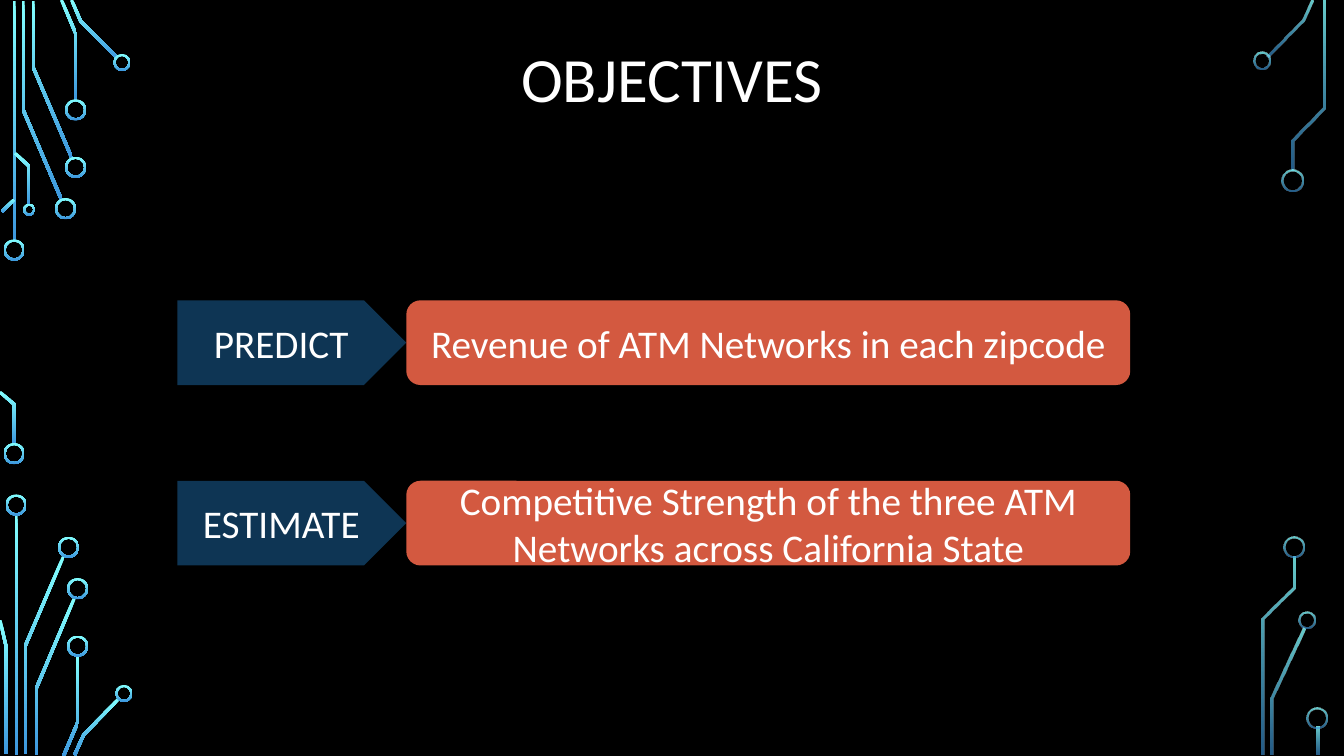
import math

import lxml.etree
import pptx
import pptx.dml.color
import pptx.enum.shapes
import pptx.enum.text
import pptx.oxml.ns
import pptx.util

Inches = pptx.util.Inches
SHAPES = pptx.enum.shapes.MSO_SHAPE
TRACE_WIDTH = 0.03
RING_WIDTH = 0.02

LEFT_TRACES = [
    [(0.14, 0.01), (0.14, 2.4)],
    [(0.23, 0.01), (0.23, 1.09), (0.61, 1.98)],
    [(0.33, 0.01), (0.33, 0.67), (0.71, 1.56)],
    [(0.61, 0), (0.75, 0.33), (0.75, 1)],
    [(0.71, 0), (0.8, 0.21), (1.16, 0.57)],
    [(0.02, 2.1), (0.14, 1.98)],
    [(0, 3.89), (0.14, 4.01), (0.14, 4.41)],
    [(0.15, 1.52), (0.29, 1.65), (0.29, 2.03)],
    [(0.16, 5.1), (0.16, 7.49)],
    [(0.25, 7.48), (0.25, 6.41), (0.63, 5.52)],
    [(0, 6.15), (0.06, 6.41), (0.06, 7.48)],
    [(0.36, 7.49), (0.36, 6.83), (0.74, 5.93)],
    [(0.63, 7.5), (0.77, 7.17), (0.77, 6.5)],
    [(0.74, 7.49), (0.83, 7.29), (1.18, 6.93)],
]
LEFT_RINGS = [
    (0.14, 2.48, 0.21), (0.14, 4.5, 0.21), (0.65, 2.07, 0.21),
    (0.75, 1.66, 0.21), (0.75, 1.09, 0.21), (1.21, 0.62, 0.17),
    (0.29, 2.08, 0.12), (0.16, 5.01, 0.21), (0.68, 5.43, 0.21),
    (0.77, 5.84, 0.21), (0.77, 6.41, 0.21), (1.23, 6.88, 0.17),
]
RIGHT_TRACES = [
    [(0.57, 0.56), (0.92, 0.2), (1.01, 0)],
    [(0.62, 7.49), (0.62, 6.93), (0.93, 6.23)],
    [(0.82, 1.69), (0.82, 1.39), (1.13, 1.07), (1.13, 0.01)],
    [(0.53, 7.49), (0.53, 6.14), (0.83, 5.83), (0.83, 5.52)],
    [(1.07, 7.21), (1.07, 7.49)],
]
RIGHT_RINGS = [
    (0.52, 0.6, 0.17), (0.82, 1.79, 0.21), (0.96, 6.15, 0.17),
    (0.83, 5.43, 0.21), (1.06, 7.12, 0.21),
]
OBJECTIVES = [
    ("PREDICT", "Revenue of ATM Networks in each zipcode"),
    ("ESTIMATE", "Competitive Strength of the three ATM Networks across California State"),
]


def rgb(color):
    """Turn a hex string into a colour."""
    return pptx.dml.color.RGBColor.from_string(color)


def glow(sp, opacities):
    """Fill a shape with the vertical circuit gradient."""
    sp.shadow.inherit = False
    sp.line.fill.background()
    sp.fill.gradient()
    sp.fill.gradient_angle = 270
    for stop, color, position in zip(sp.fill.gradient_stops, ("82FFFF", "3D97DE"), (0, 1)):
        stop.color.rgb = rgb(color)
        stop.position = position
    for clr, opacity in zip(sp._element.spPr.iter(pptx.oxml.ns.qn("a:srgbClr")), opacities):
        if opacity < 100:
            alpha = lxml.etree.SubElement(clr, pptx.oxml.ns.qn("a:alpha"))
            alpha.set("val", str(opacity * 1000))


def band(points):
    """Return the mitred outline of a path with the trace width."""
    angles = [math.atan2(y2 - y1, x2 - x1)
              for (x1, y1), (x2, y2) in zip(points, points[1:])]
    near, far = [], []
    for (x, y), before, after in zip(points, angles[:1] + angles, angles + angles[-1:]):
        turn = math.remainder(after - before, math.tau)
        reach = TRACE_WIDTH / 2 / math.cos(turn / 2)
        normal = before + turn / 2 + math.pi / 2
        dx, dy = reach * math.cos(normal), reach * math.sin(normal)
        near.append((x + dx, y + dy))
        far.append((x - dx, y - dy))
    return near + far[::-1]


def add_circuit(s, left, top, traces, rings, opacities):
    """Draw circuit traces and their end rings from a corner."""
    for trace in traces:
        outline = [(Inches(left + x), Inches(top + y)) for x, y in band(trace)]
        builder = s.shapes.build_freeform(*outline[0])
        builder.add_line_segments(outline[1:], close=True)
        glow(builder.convert_to_shape(), opacities)
    for x, y, size in rings:
        sp = s.shapes.add_shape(SHAPES.DONUT, Inches(left + x - size / 2),
                                Inches(top + y - size / 2), Inches(size), Inches(size))
        sp.adjustments[0] = RING_WIDTH / size
        glow(sp, opacities)


def write(sp, text, size):
    """Centre white text in a shape."""
    tf = sp.text_frame
    tf.word_wrap = True
    tf.vertical_anchor = pptx.enum.text.MSO_ANCHOR.MIDDLE
    p = tf.paragraphs[0]
    p.alignment = pptx.enum.text.PP_ALIGN.CENTER
    r = p.add_run()
    r.text = text
    r.font.name = "Calibri"
    r.font.size = pptx.util.Pt(size)
    r.font.color.rgb = rgb("FFFFFF")
    return p


def add_title(s, left, top, width, height):
    """Place the slide title."""
    sp = s.shapes.add_textbox(Inches(left), Inches(top), Inches(width), Inches(height))
    write(sp, "OBJECTIVES", 45).line_spacing = 0.9


def add_objective(s, left, top, width, height, verb, goal):
    """Place an arrow tag and the goal it points to."""
    tag = 2.27
    for kind, x, w, color, text in (
        (SHAPES.PENTAGON, left, tag, "0E3554", verb),
        (SHAPES.ROUNDED_RECTANGLE, left + tag, width - tag, "D35940", goal),
    ):
        sp = s.shapes.add_shape(kind, Inches(x), Inches(top), Inches(w), Inches(height))
        sp.shadow.inherit = False
        sp.fill.solid()
        sp.fill.fore_color.rgb = rgb(color)
        sp.line.fill.background()
        write(sp, text, 28)


def main():
    """Build and save the slide."""
    prs = pptx.Presentation()
    prs.slide_width, prs.slide_height = Inches(13.33), Inches(7.5)
    s = prs.slides.add_slide(prs.slide_layouts[6])
    s.background.fill.solid()
    s.background.fill.fore_color.rgb = rgb("000000")
    add_circuit(s, 0, 0, LEFT_TRACES, LEFT_RINGS, (100, 100))
    add_circuit(s, 12, 0, RIGHT_TRACES, RIGHT_RINGS, (80, 60))
    add_title(s, 1.25, 0, 10.83, 1.62)
    for i, (verb, goal) in enumerate(OBJECTIVES):
        add_objective(s, 1.76, 2.98 + 1.79 * i, 9.45, 0.84, verb, goal)
    prs.save("out.pptx")


if __name__ == "__main__":
    main()
